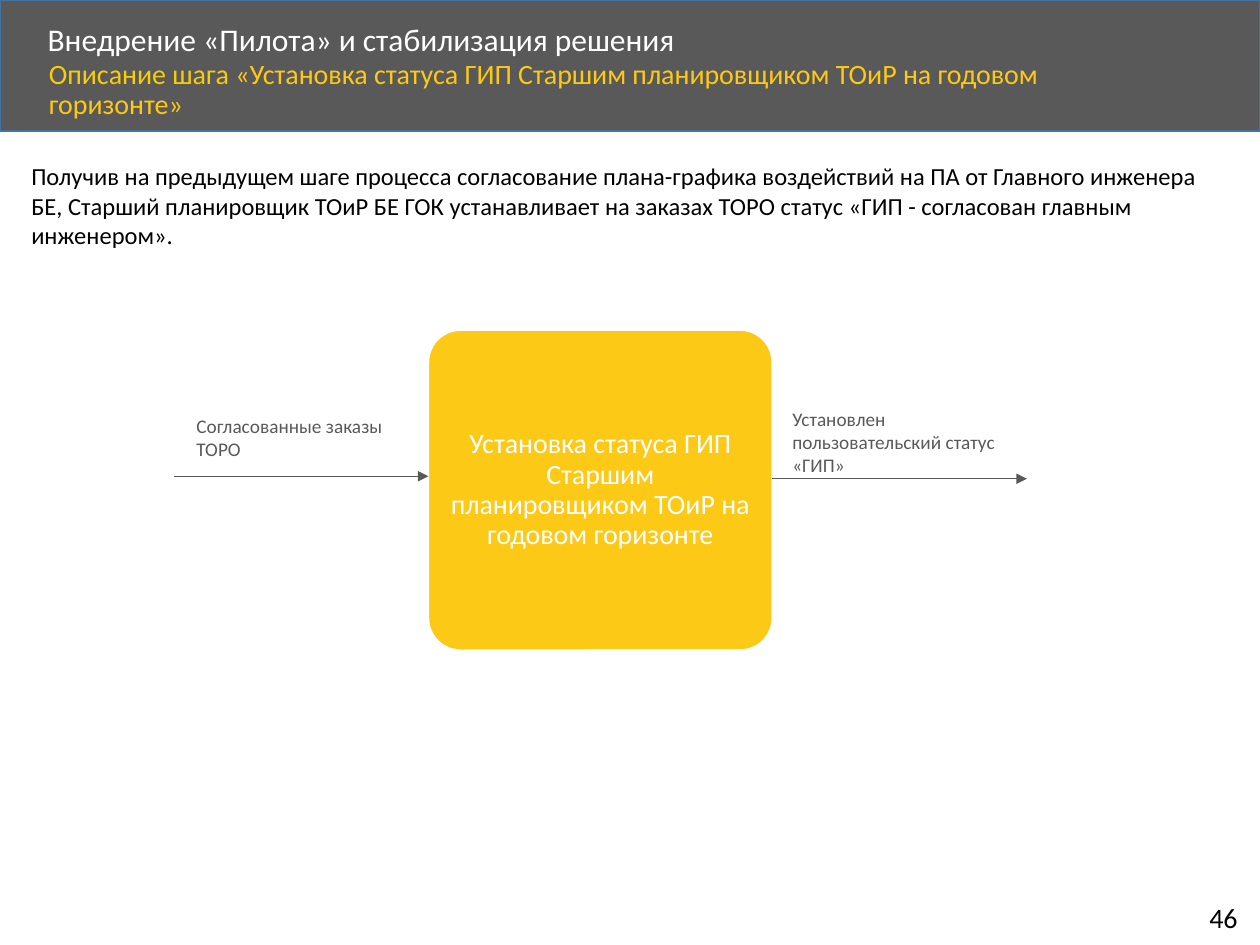
from dataclasses import dataclass

from lxml.etree import SubElement
from pptx import Presentation
from pptx.dml.color import RGBColor
from pptx.enum.shapes import MSO_CONNECTOR, MSO_SHAPE
from pptx.enum.text import MSO_ANCHOR, PP_ALIGN
from pptx.oxml.ns import qn
from pptx.util import Inches, Pt

# The slide is a grid of 100 columns by 75 rows with square cells.
COLUMNS, ROWS = 100, 75
CELL = Inches(0.1)


@dataclass(frozen=True)
class Theme:
    font: str = "Calibri"
    white: str = "FFFFFF"
    black: str = "000000"
    grey: str = "595959"
    yellow: str = "FCC917"
    dark_yellow: str = "F6CC0C"
    header_line: str = "43739E"
    title_size: int = 18
    heading_size: int = 16
    body_size: int = 14
    label_size: int = 11


@dataclass(frozen=True)
class Box:
    left: float
    top: float
    width: float
    height: float

    def inner(self, left, top, width, height):
        """Return a box whose offset is counted from this box's corner."""
        return Box(self.left + left, self.top + top, width, height)

    def lengths(self):
        return [cells(value) for value in (self.left, self.top, self.width, self.height)]


THEME = Theme()


def cells(count):
    return round(count * CELL)


def color(value):
    return RGBColor.from_string(value)


def write(text_frame, runs, size, line_spacing=None):
    """Fill the first paragraph with (text, colour) runs."""
    text_frame.word_wrap = True
    paragraph = text_frame.paragraphs[0]
    paragraph.line_spacing = line_spacing
    for text, run_color in runs:
        run = paragraph.add_run()
        run.text = text
        run.font.name = THEME.font
        run.font.size = Pt(size)
        run.font.color.rgb = color(run_color)
    return paragraph


def add_text(slide, box, runs, size, line_spacing=None):
    text_frame = slide.shapes.add_textbox(*box.lengths()).text_frame
    write(text_frame, runs, size, line_spacing)
    return text_frame


def add_panel(slide, kind, box, fill, line):
    shape = slide.shapes.add_shape(kind, *box.lengths())
    shape.shadow.inherit = False
    shape.fill.solid()
    shape.fill.fore_color.rgb = color(fill)
    shape.line.color.rgb = color(line)
    shape.line.width = Pt(1)
    return shape


def add_header(slide, box):
    add_panel(slide, MSO_SHAPE.RECTANGLE, box, THEME.grey, THEME.header_line)
    title = add_text(
        slide, box.inner(2.8, 1.4, 80.7, 3.8),
        [("Внедрение «Пилота» и стабилизация решения", THEME.white)],
        THEME.title_size, 0.9)
    title.vertical_anchor = MSO_ANCHOR.MIDDLE
    add_text(
        slide, box.inner(2.9, 4.3, 86.7, 4.5),
        [("Описание шага ", THEME.dark_yellow),
         ("«Установка статуса ГИП Старшим планировщиком ТОиР на годовом горизонте»",
          THEME.yellow)],
        THEME.heading_size, 0.9)


def add_description(slide, box):
    text = ("Получив на предыдущем шаге процесса согласование плана-графика воздействий "
            "на ПА от Главного инженера БЕ, Старший планировщик ТОиР БЕ ГОК устанавливает "
            "на заказах ТОРО статус «ГИП - согласован главным инженером».")
    add_text(slide, box, [(text, THEME.black)], THEME.body_size)


def add_step(slide, box):
    step = add_panel(slide, MSO_SHAPE.ROUNDED_RECTANGLE, box, THEME.yellow, THEME.white)
    step.adjustments[0] = 0.1
    text_frame = step.text_frame
    text_frame.margin_left = text_frame.margin_right = cells(0.7)
    text_frame.margin_top = text_frame.margin_bottom = cells(0.8)
    text_frame.vertical_anchor = MSO_ANCHOR.MIDDLE
    paragraph = write(
        text_frame,
        [("Установка статуса ГИП Старшим планировщиком ТОиР на годовом горизонте",
          THEME.white)],
        THEME.heading_size, 0.9)
    paragraph.alignment = PP_ALIGN.CENTER


def add_flow(slide, box, label_box, label):
    """Draw an arrow along the bottom edge of the box, with its label."""
    bottom = cells(box.top + box.height)
    arrow = slide.shapes.add_connector(
        MSO_CONNECTOR.STRAIGHT,
        cells(box.left), bottom, cells(box.left + box.width), bottom)
    arrow.line.color.rgb = color(THEME.grey)
    arrow.line.width = Pt(0.5)
    SubElement(arrow.line._get_or_add_ln(), qn("a:tailEnd"), type="triangle")
    SubElement(arrow._element.spPr, qn("a:effectLst"))
    add_text(slide, label_box, [(label, THEME.grey)], THEME.label_size)


def add_process(slide, box):
    """Place the step in the middle, with its input and output on either side."""
    flow_width, step_width = 20.2, 27.3
    output_left = flow_width + step_width
    add_step(slide, box.inner(flow_width, 0, step_width, box.height))
    add_flow(slide, box.inner(0, 0, flow_width, 11.6),
             box.inner(0.8, 6.2, 20, 4.7), "Согласованные заказы ТОРО")
    add_flow(slide, box.inner(output_left, 0, flow_width, 11.8),
             box.inner(output_left + 0.6, 5.6, 20, 6.6),
             "Установлен пользовательский статус «ГИП»")


def add_page_number(slide, box):
    text_frame = add_text(slide, box, [("46", THEME.black)], THEME.heading_size)
    text_frame.word_wrap = False


def main():
    presentation = Presentation()
    presentation.slide_width = cells(COLUMNS)
    presentation.slide_height = cells(ROWS)
    slide = presentation.slides.add_slide(presentation.slide_layouts[6])
    add_header(slide, Box(0, 0, COLUMNS, 10.4))
    add_description(slide, Box(1.5, 12.3, 94.6, 8.1))
    add_process(slide, Box(13.8, 26.2, 67.7, 25.4))
    add_page_number(slide, Box(95, 71, 4.6, 3.7))
    presentation.save("out.pptx")


if __name__ == "__main__":
    main()
